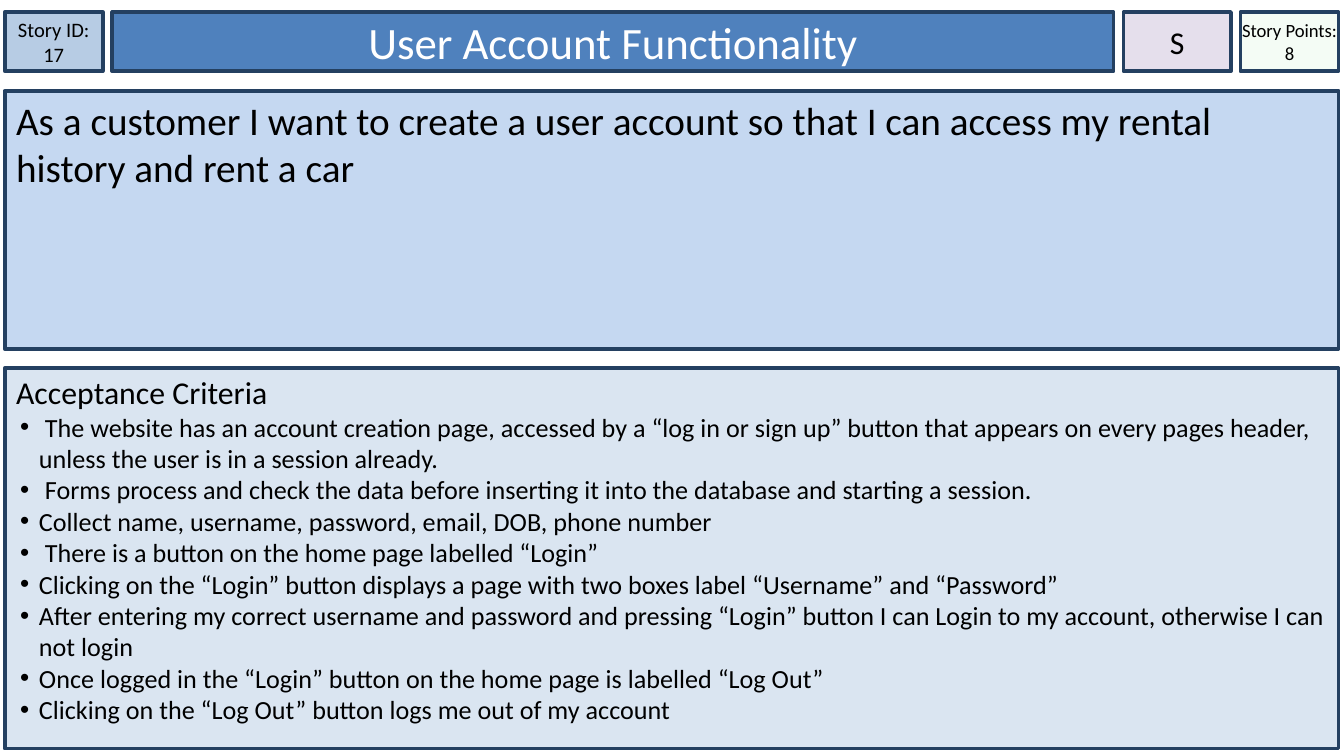
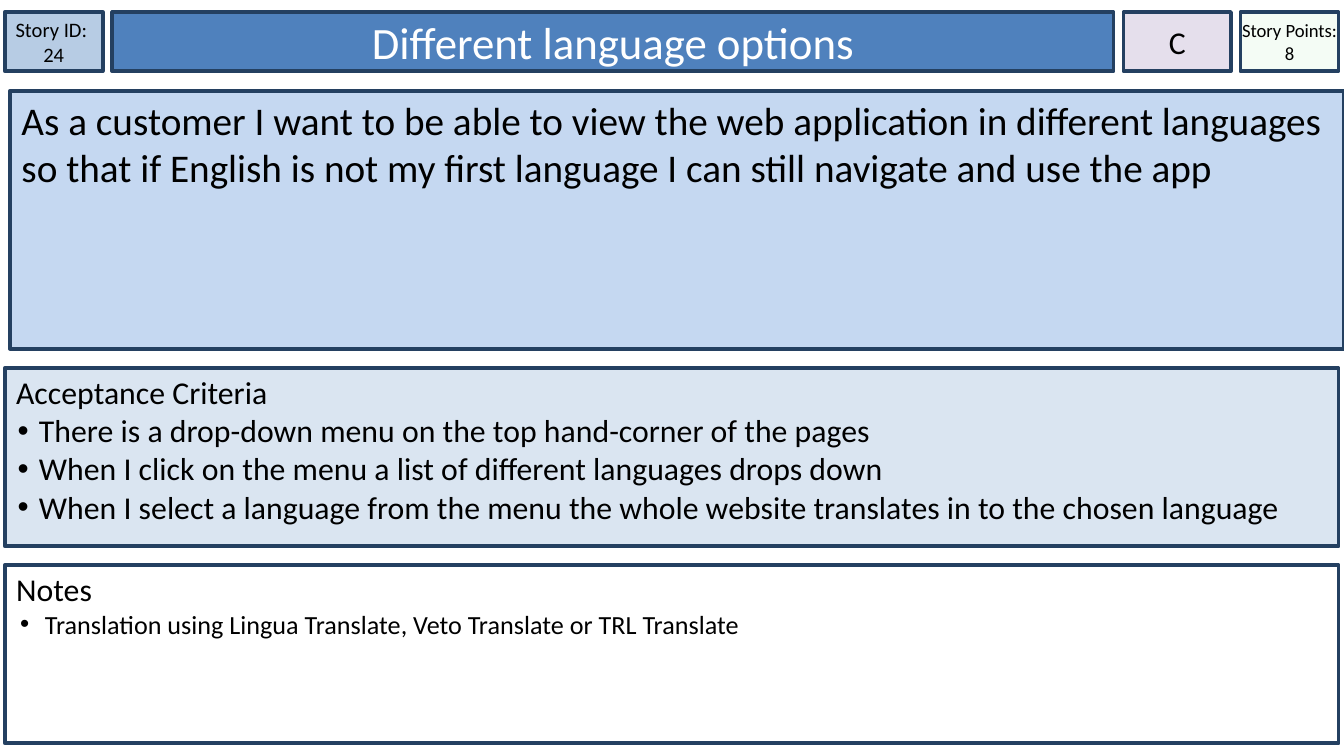
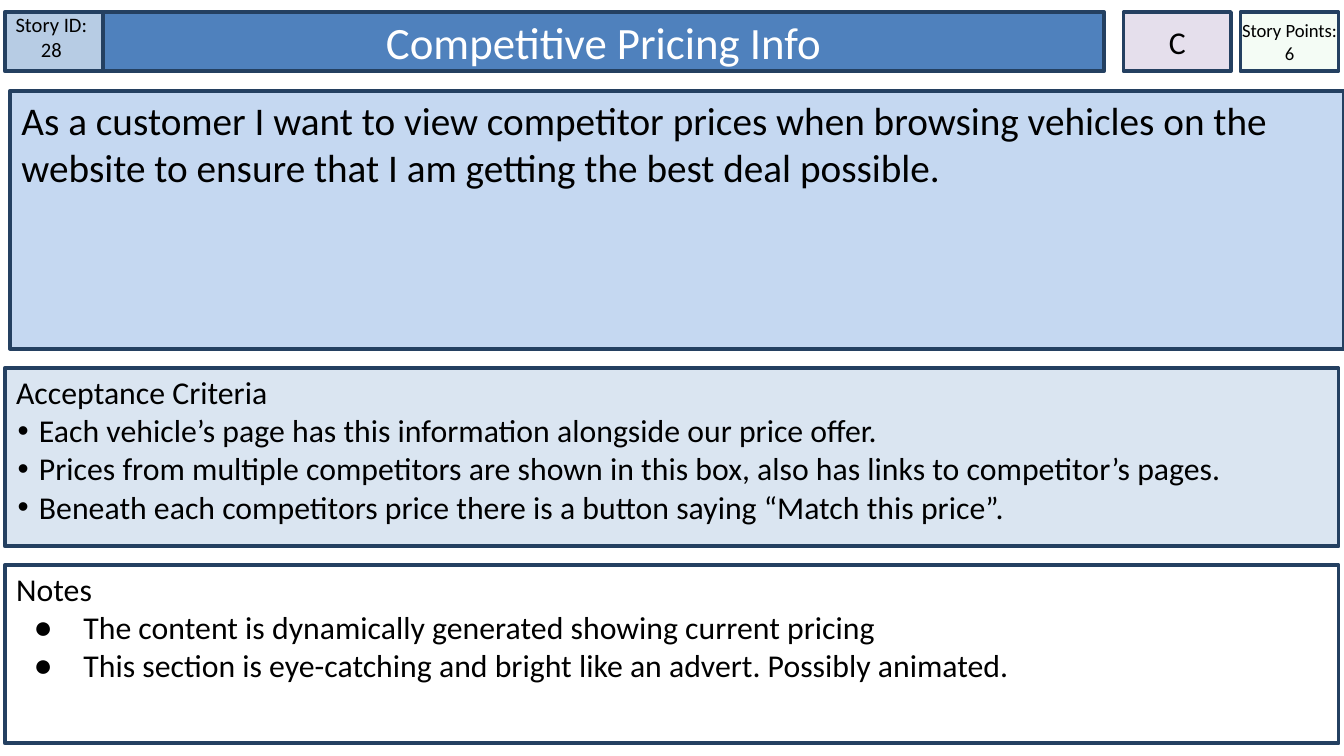
from dataclasses import dataclass
from typing import Optional

from lxml import etree
from pptx import Presentation
from pptx import util as u
from pptx.dml import color
from pptx.enum import shapes, text
from pptx.oxml import ns

PX = 4572  # 200 px to the inch
FONT = "Calibri"
BORDER = "244061"
BLACK = "000000"
WHITE = "FFFFFF"
SLIDE_WIDTH, SLIDE_HEIGHT = 2000, 1125
LEFT, FULL_WIDTH = 7, 1985
HEADER_TOP, HEADER_HEIGHT = 18, 88
WISH_TOP, WISH_HEIGHT = 135, 384
BODY_TOP, HALF_HEIGHT, FULL_HEIGHT = 548, 265, 566
NOTES_TOP = 841
LAYOUT_ONE_BODY, LAYOUT_TWO_BODIES = 1, 3


@dataclass(frozen=True)
class Box:
    left: int
    top: int
    width: int
    height: int
    fill: str
    size: int
    text_color: str = BLACK
    centred: bool = False
    side_inset: int = 17
    top_inset: int = 8
    opacity: int = 100


@dataclass(frozen=True)
class BulletStyle:
    character: str
    margin: int
    hang: int
    size: int


@dataclass(frozen=True)
class Panel:
    heading: str
    bullets: tuple[str, ...]
    style: BulletStyle


@dataclass(frozen=True)
class Story:
    id_label: str
    title: str
    priority: str
    points_label: str
    wish: str
    criteria: Panel
    notes: Optional[Panel] = None
    title_left: int = 167
    wish_left: int = 15
    id_at_top: bool = False


def header_box(left: int, width: int, fill: str, size: int, **options) -> Box:
    return Box(left, HEADER_TOP, width, HEADER_HEIGHT, fill, size, centred=True, **options)


def panel_box(top: int, height: int, fill: str) -> Box:
    return Box(LEFT, top, FULL_WIDTH, height, fill, 17, top_inset=7)


ID_BOX = header_box(LEFT, 146, "B7CCE4", 11, side_inset=1)
PRIORITY_BOX = header_box(1672, 160, "E5DFEC", 17, side_inset=0)
POINTS_BOX = header_box(1846, 146, "CCF0CD", 10, side_inset=0, opacity=20)

SMALL = BulletStyle("•", 34, 28, 14)
LARGE = BulletStyle("•", 34, 32, 17)
WIDE = BulletStyle("●", 100, 74, 17)

STORIES = (
    Story(
        "Story ID: 17", "User Account Functionality", "S", "Story Points:\n8",
        "As a customer I want to create a user account so that I can access my rental "
        "history and rent a car",
        Panel("Acceptance Criteria", (
            " The website has an account creation page, accessed by a “log in or sign up” button "
            "that appears on every pages header, unless the user is in a session already.",
            " Forms process and check the data before inserting it into the database and "
            "starting a session.",
            "Collect name, username, password, email, DOB, phone number",
            " There is a button on the home page labelled “Login”",
            "Clicking on the “Login” button displays a page with two boxes label “Username” "
            "and “Password”",
            "After entering my correct username and password and pressing “Login” button I can "
            "Login to my account, otherwise I can not login",
            "Once logged in the “Login” button on the home page is labelled “Log Out”",
            "Clicking on the “Log Out” button logs me out of my account",
        ), SMALL),
        wish_left=LEFT,
    ),
    Story(
        "Story ID: \n24", "Different language options", "C", "Story Points: 8",
        "As a customer I want to be able to view the web application in different languages "
        "so that if English is not my first language I can still navigate and use the app",
        Panel("Acceptance Criteria", (
            "There is a drop-down menu on the top hand-corner of the pages",
            "When I click on the menu a list of different languages drops down",
            "When I select a language from the menu the whole website translates in to the "
            "chosen language",
        ), LARGE),
        Panel("Notes", (
            " Translation using Lingua Translate, Veto Translate or TRL Translate",
        ), SMALL),
    ),
    Story(
        "Story ID: \n28 ", "Competitive Pricing Info", "C", "Story Points: 6",
        "As a customer I want to view competitor prices when browsing vehicles on the "
        "website to ensure that I am getting the best deal possible.",
        Panel("Acceptance Criteria", (
            "Each vehicle’s page has this information alongside our price offer.",
            "Prices from multiple competitors are shown in this box, also has links to "
            "competitor’s pages.",
            "Beneath each competitors price there is a button saying “Match this price”.",
        ), LARGE),
        Panel("Notes", (
            "The content is dynamically generated showing current pricing",
            "This section is eye-catching and bright like an advert. Possibly animated.",
        ), WIDE),
        title_left=153,
        id_at_top=True,
    ),
)


def px(length: int) -> u.Emu:
    return u.Emu(length * PX)


def rgb(value: str) -> color.RGBColor:
    return color.RGBColor.from_string(value)


def format_runs(paragraph, size: int, text_color: str) -> None:
    for run in paragraph.runs:
        run.font.size = u.Pt(size)
        run.font.name = FONT
        run.font.color.rgb = rgb(text_color)


def fill_box(shape, box: Box, content: str) -> None:
    """Place, paint and label a shape or placeholder."""
    shape.left, shape.top = px(box.left), px(box.top)
    shape.width, shape.height = px(box.width), px(box.height)
    shape.fill.solid()
    shape.fill.fore_color.rgb = rgb(box.fill)
    if box.opacity < 100:
        fill_color = shape.fill._xPr.find(".//" + ns.qn("a:srgbClr"))
        etree.SubElement(fill_color, ns.qn("a:alpha"), val=str(box.opacity * 1000))
    shape.line.color.rgb = rgb(BORDER)
    shape.line.width = u.Pt(2)

    frame = shape.text_frame
    frame.text = content
    frame.word_wrap = True
    frame.auto_size = text.MSO_AUTO_SIZE.NONE
    frame.margin_left = frame.margin_right = px(box.side_inset)
    frame.margin_top, frame.margin_bottom = px(box.top_inset), px(8)
    frame.vertical_anchor = text.MSO_ANCHOR.MIDDLE if box.centred else text.MSO_ANCHOR.TOP
    for paragraph in frame.paragraphs:
        paragraph.alignment = text.PP_ALIGN.CENTER if box.centred else text.PP_ALIGN.LEFT
        paragraph.space_before = u.Pt(0)
        format_runs(paragraph, box.size, box.text_color)


def add_box(slide, box: Box, content: str):
    shape = slide.shapes.add_shape(shapes.MSO_SHAPE.RECTANGLE, 0, 0, 0, 0)
    shape.shadow.inherit = False
    fill_box(shape, box, content)
    return shape


def set_bullet(paragraph, style: Optional[BulletStyle]) -> None:
    properties = paragraph._p.get_or_add_pPr()
    properties.set("marL", str(style.margin * PX if style else 0))
    properties.set("indent", str(-style.hang * PX if style else 0))
    if style is None:
        etree.SubElement(properties, ns.qn("a:buNone"))
        return
    bullet_color = etree.SubElement(properties, ns.qn("a:buClr"))
    etree.SubElement(bullet_color, ns.qn("a:srgbClr"), val=BLACK)
    etree.SubElement(properties, ns.qn("a:buFont"), typeface="Arial")
    etree.SubElement(properties, ns.qn("a:buChar"), char=style.character)


def fill_panel(placeholder, box: Box, panel: Panel) -> None:
    fill_box(placeholder, box, "\n".join((panel.heading, *panel.bullets)))
    heading, *bullets = placeholder.text_frame.paragraphs
    set_bullet(heading, None)
    for paragraph in bullets:
        set_bullet(paragraph, panel.style)
        format_runs(paragraph, panel.style.size, BLACK)


def add_story(presentation, story: Story) -> None:
    layout = LAYOUT_TWO_BODIES if story.notes else LAYOUT_ONE_BODY
    slide = presentation.slides.add_slide(presentation.slide_layouts[layout])
    title_box = header_box(story.title_left, 1490, "4F81BD", 24, text_color=WHITE)
    fill_box(slide.shapes.title, title_box, story.title)

    id_shape = add_box(slide, ID_BOX, story.id_label)
    if story.id_at_top:
        id_shape.text_frame.vertical_anchor = text.MSO_ANCHOR.TOP
        id_shape.text_frame.margin_top = 0
    add_box(slide, PRIORITY_BOX, story.priority)
    add_box(slide, POINTS_BOX, story.points_label)
    wish_box = Box(story.wish_left, WISH_TOP, FULL_WIDTH, WISH_HEIGHT, "C5D8F1", 21)
    add_box(slide, wish_box, story.wish)

    criteria_height = HALF_HEIGHT if story.notes else FULL_HEIGHT
    criteria_box = panel_box(BODY_TOP, criteria_height, "DAE5F1")
    fill_panel(slide.placeholders[1], criteria_box, story.criteria)
    if story.notes:
        fill_panel(slide.placeholders[2], panel_box(NOTES_TOP, HALF_HEIGHT, WHITE), story.notes)


def main() -> None:
    presentation = Presentation()
    presentation.slide_width, presentation.slide_height = px(SLIDE_WIDTH), px(SLIDE_HEIGHT)
    for story in STORIES:
        add_story(presentation, story)
    presentation.save("out.pptx")


if __name__ == "__main__":
    main()
